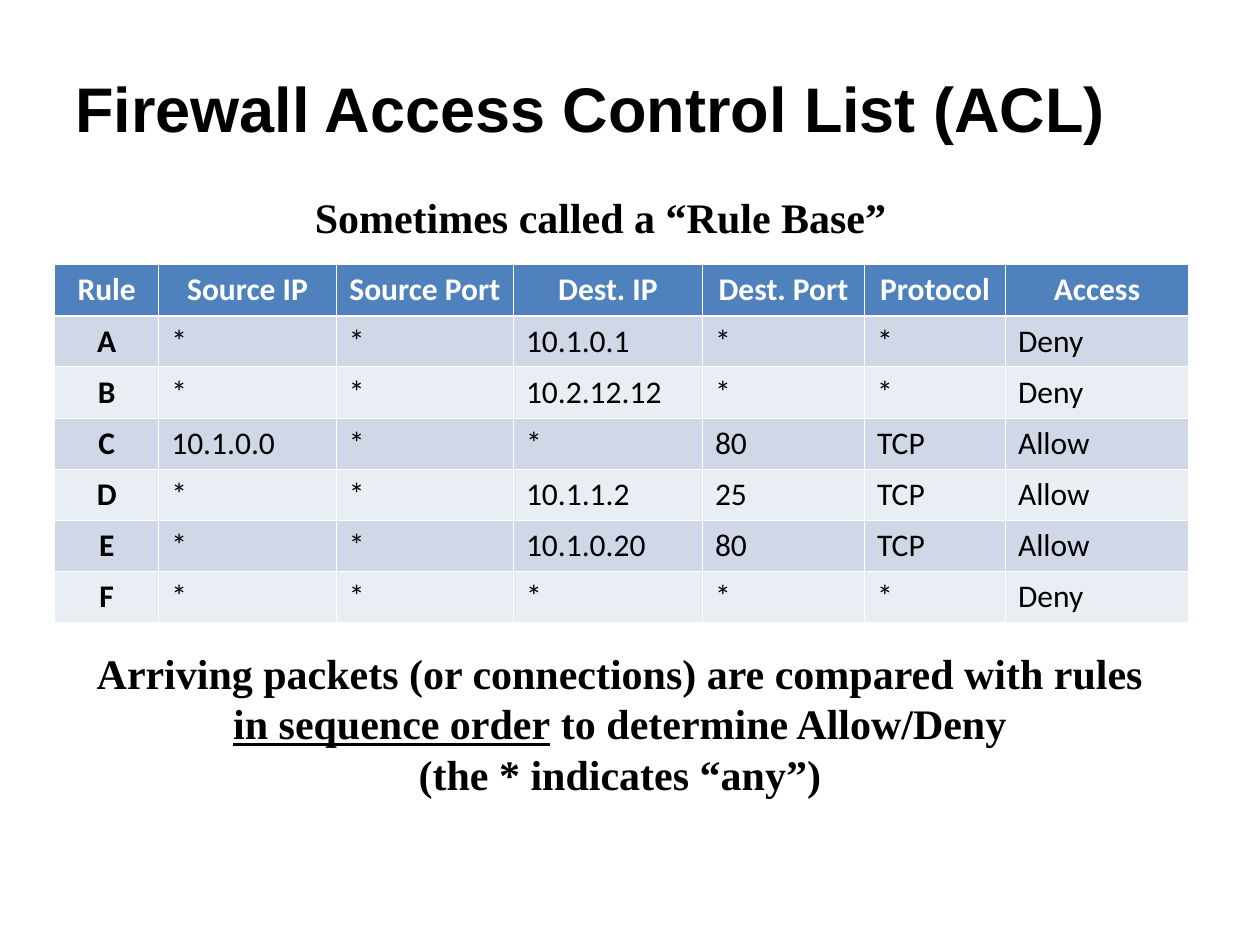
from lxml import etree
from pptx import Presentation
from pptx.dml.color import RGBColor
from pptx.enum import text
from pptx.oxml.ns import qn
from pptx.util import Pt

COLORS = {"text": "000000", "white": "FFFFFF", "header": "4F81BD",
          "odd": "D0D8E8", "even": "E9EDF4"}
SERIF = "Times New Roman"

TITLE = "Firewall Access Control List (ACL)"
SUBTITLE = "Sometimes called a “Rule Base”"
EXPLANATION = [
    [("Arriving packets (or connections) are compared with rules ", False),
     ("in sequence order", True),
     (" to determine Allow/Deny", False)],
    [("(the * indicates “any”)", False)],
]
RULES = [
    ("Rule", "Source IP", "Source Port", "Dest. IP", "Dest. Port", "Protocol", "Access"),
    ("A", "*", "*", "10.1.0.1", "*", "*", "Deny"),
    ("B", "*", "*", "10.2.12.12", "*", "*", "Deny"),
    ("C", "10.1.0.0", "*", "*", "80", "TCP", "Allow"),
    ("D", "*", "*", "10.1.1.2", "25", "TCP", "Allow"),
    ("E", "*", "*", "10.1.0.20", "80", "TCP", "Allow"),
    ("F", "*", "*", "*", "*", "*", "Deny"),
]
COL_WIDTHS = [59.5, 101.5, 101.2, 108, 92.6, 80.6, 104.6]
ROW_HEIGHT = 29.2
THIN, THICK = 0.45, 1.47


def add_run(p, words, size, font, bold=True, color="text", underline=False):
    r = p.add_run()
    r.text = words
    r.font.size, r.font.name = Pt(size), font
    r.font.bold, r.font.underline = bold, underline
    r.font.color.rgb = RGBColor.from_string(COLORS[color])


def add_text(slide, paragraphs, box, size=24, font=SERIF, align=text.PP_ALIGN.LEFT,
             anchor=text.MSO_ANCHOR.TOP, spacing=None):
    """Add a wrapped text box; each paragraph is a list of (words, underlined)."""
    tf = slide.shapes.add_textbox(*map(Pt, box)).text_frame
    tf.word_wrap = True
    tf.vertical_anchor = anchor
    for i, runs in enumerate(paragraphs):
        p = tf.add_paragraph() if i else tf.paragraphs[0]
        p.alignment = align
        if spacing:
            p.line_spacing = Pt(spacing)
        for words, underline in runs:
            add_run(p, words, size, font, underline=underline)


def set_borders(cell, widths):
    """Draw white borders; widths maps lnL, lnR, lnT and lnB to points."""
    tcPr = cell._tc.get_or_add_tcPr()
    for i, (side, width) in enumerate(widths.items()):
        ln = etree.Element(qn("a:" + side), w=str(int(Pt(width))))
        fill = etree.SubElement(ln, qn("a:solidFill"))
        etree.SubElement(fill, qn("a:srgbClr"), val=COLORS["white"])
        tcPr.insert(i, ln)


def add_rule_table(slide, left, top):
    table = slide.shapes.add_table(
        len(RULES), len(COL_WIDTHS), Pt(left), Pt(top),
        Pt(sum(COL_WIDTHS)), Pt(ROW_HEIGHT * len(RULES))).table
    for column, width in zip(table.columns, COL_WIDTHS):
        column.width = Pt(width)
    for i, rule in enumerate(RULES):
        table.rows[i].height = Pt(ROW_HEIGHT)
        band = "header" if i == 0 else "odd" if i % 2 else "even"
        for j, words in enumerate(rule):
            cell = table.cell(i, j)
            cell.fill.solid()
            cell.fill.fore_color.rgb = RGBColor.from_string(COLORS[band])
            set_borders(cell, {"lnL": THIN, "lnR": THIN,
                               "lnT": THICK if i == 1 else THIN,
                               "lnB": THICK if i == 0 else THIN})
            heading = i == 0 or j == 0
            p = cell.text_frame.paragraphs[0]
            p.alignment = text.PP_ALIGN.CENTER if heading else text.PP_ALIGN.LEFT
            add_run(p, words, 18, "Calibri", bold=heading,
                    color="text" if i else "white")


def main():
    prs = Presentation()
    prs.slide_width, prs.slide_height = Pt(720), Pt(540)
    slide = prs.slides.add_slide(prs.slide_layouts[6])
    add_text(slide, [[(TITLE, False)]], (36, 22.3, 648, 78.5), size=36, font="Arial",
             anchor=text.MSO_ANCHOR.MIDDLE)
    add_rule_table(slide, 31.2, 151.2)
    add_text(slide, [[(SUBTITLE, False)]], (172.8, 105.8, 425.5, 36), spacing=28.8)
    add_text(slide, EXPLANATION, (36.7, 366.5, 635, 93.6),
             align=text.PP_ALIGN.CENTER, spacing=28.8)
    prs.save("out.pptx")


if __name__ == "__main__":
    main()
